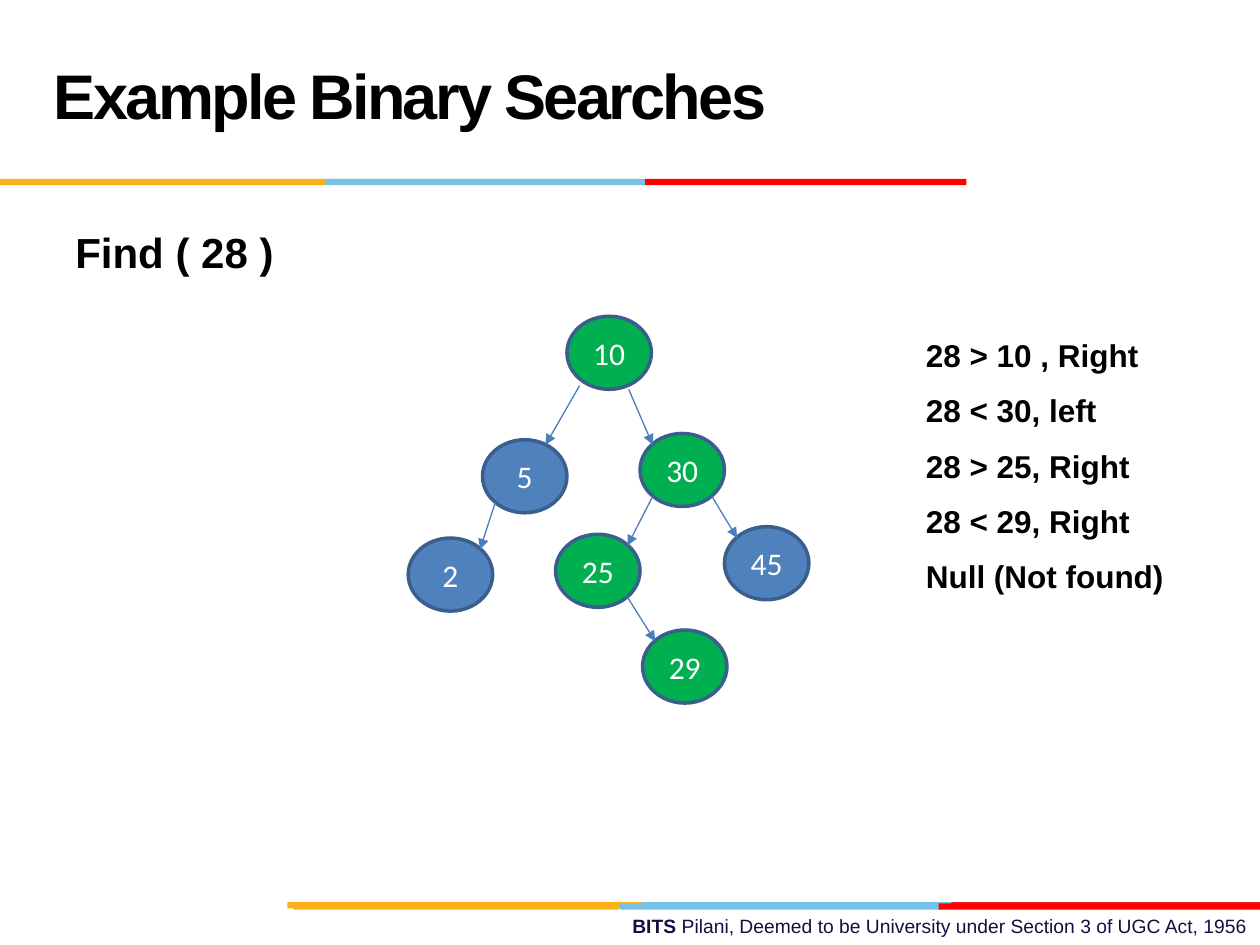
from typing import NamedTuple

import pptx
import pptx.dml.color
import pptx.enum.shapes
import pptx.enum.text
import pptx.oxml
import pptx.oxml.ns
import pptx.util
from pptx.dml.color import RGBColor
from pptx.util import Inches

BLACK = RGBColor(0x00, 0x00, 0x00)
WHITE = RGBColor(0xFF, 0xFF, 0xFF)
NAVY = RGBColor(0x10, 0x11, 0x41)
SKY = RGBColor(0x76, 0xC2, 0xE5)
AMBER = RGBColor(0xFC, 0xB0, 0x17)
CRIMSON = RGBColor(0xE3, 0x1C, 0x24)
RED = RGBColor(0xFF, 0x00, 0x00)
BLUE = RGBColor(0x4F, 0x81, 0xBD)
GREEN = RGBColor(0x00, 0xB0, 0x50)
OUTLINE = RGBColor(0x3A, 0x5F, 0x8C)
ARROW = RGBColor(0x4B, 0x7E, 0xBC)

BAR_HEIGHT = 0.05
NODE_WIDTH, NODE_HEIGHT = 0.67, 0.58


class Bar(NamedTuple):
    left: float
    top: float
    width: float
    color: RGBColor


class Node(NamedTuple):
    key: int
    left: float
    top: float
    color: RGBColor


class Edge(NamedTuple):
    x1: float
    y1: float
    x2: float
    y2: float


BARS = [
    Bar(5.06, 7.16, 2.55, SKY),
    Bar(7.55, 7.16, 2.45, CRIMSON),
    Bar(2.28, 7.16, 2.82, AMBER),
    Bar(4.92, 7.17, 2.55, SKY),
    Bar(2.33, 7.17, 2.58, AMBER),
    Bar(7.45, 7.17, 2.55, RED),
    Bar(2.58, 1.42, 2.55, SKY),
    Bar(0, 1.42, 2.58, AMBER),
    Bar(5.12, 1.42, 2.55, RED),
]
NODES = [
    Node(5, 3.83, 3.49, BLUE),
    Node(10, 4.5, 2.51, GREEN),
    Node(30, 5.08, 3.44, GREEN),
    Node(2, 3.24, 4.27, BLUE),
    Node(45, 5.75, 4.18, BLUE),
    Node(25, 4.41, 4.24, GREEN),
    Node(29, 5.1, 5, GREEN),
]
EDGES = [
    Edge(4.6, 3.06, 4.33, 3.53),
    Edge(4.99, 3.09, 5.18, 3.53),
    Edge(3.93, 3.99, 3.81, 4.36),
    Edge(5.65, 3.94, 5.85, 4.27),
    Edge(5.18, 3.94, 4.98, 4.33),
    Edge(4.98, 4.74, 5.2, 5.09),
]
STEPS = ["28 > 10 , Right", "28 < 30, left", "28 > 25, Right",
         "28 < 29, Right", "Null (Not found)"]


def style(p, size: float, color: RGBColor, name: str = "Arial", bold: bool | None = True) -> None:
    p.font.size = pptx.util.Pt(size)
    p.font.name = name
    p.font.bold = bold
    p.font.color.rgb = color


def add_text(s, left: float, top: float, width: float, height: float,
             lines: list[str], size: float, color: RGBColor = BLACK,
             gap: float = 0, bold: bool | None = True):
    tf = s.shapes.add_textbox(Inches(left), Inches(top), Inches(width), Inches(height)).text_frame
    tf.word_wrap = True
    for i, line in enumerate(lines):
        p = tf.add_paragraph() if i else tf.paragraphs[0]
        p.add_run().text = line
        if i:
            p.space_before = pptx.util.Pt(gap)
        style(p, size, color, bold=bold)
    return tf


def add_bar(s, bar: Bar) -> None:
    sp = s.shapes.add_shape(pptx.enum.shapes.MSO_SHAPE.RECTANGLE, Inches(bar.left),
                            Inches(bar.top), Inches(bar.width), Inches(BAR_HEIGHT))
    sp.shadow.inherit = False
    sp.fill.solid()
    sp.fill.fore_color.rgb = bar.color
    sp.line.fill.background()


def add_node(s, node: Node) -> None:
    sp = s.shapes.add_shape(pptx.enum.shapes.MSO_SHAPE.FLOWCHART_CONNECTOR, Inches(node.left),
                            Inches(node.top), Inches(NODE_WIDTH), Inches(NODE_HEIGHT))
    sp.shadow.inherit = False
    sp.fill.solid()
    sp.fill.fore_color.rgb = node.color
    sp.line.color.rgb = OUTLINE
    sp.line.width = pptx.util.Pt(2)
    tf = sp.text_frame
    tf.vertical_anchor = pptx.enum.text.MSO_ANCHOR.MIDDLE
    p = tf.paragraphs[0]
    p.add_run().text = str(node.key)
    p.alignment = pptx.enum.text.PP_ALIGN.CENTER
    style(p, 18, WHITE, "Calibri", False)


def add_edge(s, edge: Edge) -> None:
    cxn = s.shapes.add_connector(pptx.enum.shapes.MSO_CONNECTOR.STRAIGHT,
                                 *(Inches(v) for v in edge))
    cxn.line.color.rgb = ARROW
    cxn.line.width = pptx.util.Pt(0.75)
    tail = pptx.oxml.ns.qn("a:tailEnd")
    cxn.line._get_or_add_ln().append(pptx.oxml.xmlchemy.OxmlElement("a:tailEnd"))
    cxn.line._get_or_add_ln().find(tail).set("type", "triangle")
    cxn._element.spPr.append(pptx.oxml.xmlchemy.OxmlElement("a:effectLst"))


def main() -> None:
    """Build the binary search tree lookup slide."""
    prs = pptx.Presentation()
    prs.slide_width, prs.slide_height = Inches(10), Inches(7.5)
    s = prs.slides.add_slide(prs.slide_layouts[6])

    p = add_text(s, 3.58, 7.21, 6.42, 0.29, ["BITS "], 11, NAVY, bold=None).paragraphs[0]
    p.alignment = pptx.enum.text.PP_ALIGN.RIGHT
    p.runs[0].font.bold = True
    p.add_run().text = "Pilani, Deemed to be University under Section 3 of UGC Act, 1956"
    for bar in BARS:
        add_bar(s, bar)

    tf = add_text(s, 0.33, 0.17, 6.92, 1.25, ["Example Binary Searches"], 36)
    tf.vertical_anchor = pptx.enum.text.MSO_ANCHOR.MIDDLE
    p = tf.paragraphs[0]
    p.line_spacing = pptx.util.Pt(36)
    p.runs[0].font._element.set("spc", "-150")

    add_text(s, 0.5, 1.75, 9, 4.95, ["Find ( 28 )"], 24)
    add_text(s, 7.25, 2.62, 2.5, 2.22, STEPS, 18, gap=9.9)
    for node in NODES:
        add_node(s, node)
    for edge in EDGES:
        add_edge(s, edge)
    prs.save("out.pptx")


if __name__ == "__main__":
    main()
